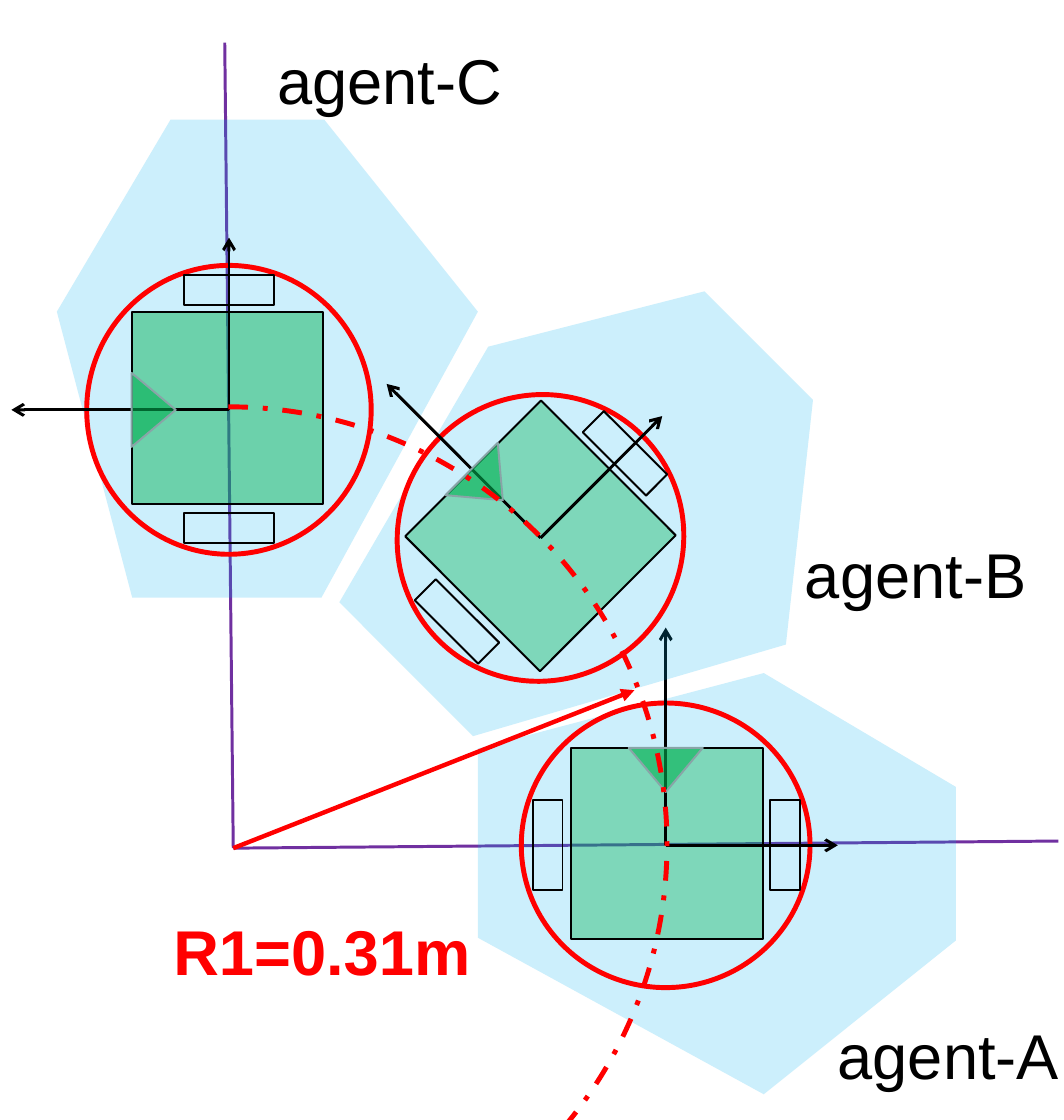
"""Draw three robot agents moving along a circular path of radius R1."""
import math
from dataclasses import dataclass

from lxml import etree
from pptx import Presentation
from pptx import util as u
from pptx.dml.color import RGBColor
from pptx.enum import dml, shapes, text
from pptx.oxml.ns import qn
from pptx.shapes.autoshape import Shape
from pptx.shapes.shapetree import SlideShapes

Point = tuple[float, float]
BLACK, RED, PURPLE = "000000", "FF0000", "7030A0"
SKY, GREEN, GRAY = "00B0F0", "00B050", "89A4A7"
CORNER: Point = (1.64, 5.96)
ZONE_CENTER: Point = (0.36, 0.27)
ZONE: list[Point] = [(-1.68, -0.95), (-1.68, 0.38), (0.33, 1.48),
                     (1.68, 0.4), (1.68, -0.68), (0.33, -1.48)]


@dataclass(frozen=True)
class Agent:
    center: Point
    rotation: int
    body_opacity: int = 38

    def locate(self, offset: Point) -> Point:
        """Turn an offset in the agent's frame into a slide position."""
        angle = math.radians(self.rotation)
        x, y = offset
        return (self.center[0] + x * math.cos(angle) - y * math.sin(angle),
                self.center[1] + x * math.sin(angle) + y * math.cos(angle))


@dataclass(frozen=True)
class Part:
    kind: shapes.MSO_SHAPE
    offset: Point
    size: Point
    line: str = BLACK
    width: float = 1
    fill: str | None = None
    opacity: int | None = None
    turn: int = 0


@dataclass(frozen=True)
class Label:
    content: str
    left: float
    top: float
    width: float
    color: str = BLACK
    bold: bool = False


AGENTS = [Agent((4.68, 5.94), 0), Agent((1.61, 2.88), 270, 47), Agent((3.8, 3.78), 315)]
RING = Part(shapes.MSO_SHAPE.OVAL, (0, 0), (2.03, 2), RED, 2.5)
BODY = Part(shapes.MSO_SHAPE.RECTANGLE, (0.01, -0.01), (1.35, 1.34), fill=GREEN)
NOSE = Part(shapes.MSO_SHAPE.ISOSCELES_TRIANGLE, (0, -0.53), (0.52, 0.31), GRAY,
            fill=GREEN, opacity=59, turn=180)
WHEELS = [Part(shapes.MSO_SHAPE.RECTANGLE, (x, 0), (0.21, 0.63)) for x in (0.84, -0.83)]
ARROW_TIPS: list[Point] = [(0, -1.53), (1.21, 0)]
RADIUS_LABEL = Label("R1=0.31m", 1.12, 6.36, 2.31, RED, True)
AGENT_LABELS = [Label("agent-A", 5.79, 7.09, 1.85), Label("agent-C", 1.85, 0.24, 1.99),
                Label("agent-B", 5.56, 3.71, 1.82)]


def rgb(color: str) -> RGBColor:
    """Convert a hex string to a colour."""
    return RGBColor.from_string(color)


def style(shape: Shape, fill: str | None, opacity: int | None,
          line: str | None, width: float = 1) -> None:
    """Set the fill, its opacity in percent, and the outline."""
    shape.shadow.inherit = False
    if fill:
        shape.fill.solid()
        shape.fill.fore_color.rgb = rgb(fill)
        color = shape._element.spPr.find(qn("a:solidFill"))[0]
        etree.SubElement(color, qn("a:alpha"), val=str(opacity * 1000))
    else:
        shape.fill.background()
    if line:
        shape.line.color.rgb = rgb(line)
        shape.line.width = u.Pt(width)
    else:
        shape.line.fill.background()


def add_line(tree: SlideShapes, start: Point, end: Point, color: str,
             width: float = 1.5, head: str | None = None) -> None:
    """Draw a straight line, with an arrowhead at its end if one is named."""
    connector = tree.add_connector(shapes.MSO_CONNECTOR.STRAIGHT,
                                   *map(u.Inches, (*start, *end)))
    connector.line.color.rgb = rgb(color)
    connector.line.width = u.Pt(width)
    properties = connector._element.spPr
    if head:
        etree.SubElement(properties.find(qn("a:ln")), qn("a:tailEnd"), type=head)
    etree.SubElement(properties, qn("a:effectLst"))


def add_zone(tree: SlideShapes, agent: Agent) -> None:
    """Draw the hexagonal zone around an agent."""
    x, y = agent.locate(ZONE_CENTER)
    first, *rest = [(u.Inches(x + dx), u.Inches(y + dy)) for dx, dy in ZONE]
    builder = tree.build_freeform(*first)
    builder.add_line_segments(rest, close=True)
    zone = builder.convert_to_shape()
    zone.rotation = agent.rotation
    style(zone, SKY, 20, None)


def add_part(tree: SlideShapes, agent: Agent, part: Part) -> None:
    """Draw one part turned with its agent."""
    x, y = agent.locate(part.offset)
    width, height = part.size
    shape = tree.add_shape(part.kind, u.Inches(x - width / 2), u.Inches(y - height / 2),
                           u.Inches(width), u.Inches(height))
    shape.rotation = (agent.rotation + part.turn) % 360
    style(shape, part.fill, part.opacity or agent.body_opacity, part.line, part.width)


def add_agent(tree: SlideShapes, agent: Agent) -> None:
    """Draw an agent with its zone, parts and axes."""
    add_zone(tree, agent)
    for part in (RING, BODY):
        add_part(tree, agent, part)
    for tip in ARROW_TIPS:
        add_line(tree, agent.center, agent.locate(tip), BLACK, head="arrow")
    for part in (NOSE, *WHEELS):
        add_part(tree, agent, part)


def add_path(tree: SlideShapes) -> None:
    """Draw the dashed circular path."""
    arc = tree.add_shape(shapes.MSO_SHAPE.ARC, u.Inches(-1.48), u.Inches(2.86),
                         u.Inches(6.17), u.Inches(6.16))
    arc.rotation = 340
    for index, degrees in enumerate((290, 83.7)):
        arc.adjustments[index] = degrees * 0.6
    style(arc, None, None, RED, 2.5)
    arc.line.dash_style = dml.MSO_LINE.DASH_DOT


def add_label(tree: SlideShapes, label: Label) -> None:
    """Write one label."""
    box = tree.add_textbox(u.Inches(label.left), u.Inches(label.top),
                           u.Inches(label.width), u.Inches(0.64))
    frame = box.text_frame
    frame.word_wrap = True
    frame.auto_size = text.MSO_AUTO_SIZE.SHAPE_TO_FIT_TEXT
    frame.text = label.content
    font = frame.paragraphs[0].runs[0].font
    font.name, font.size, font.bold = "Arial", u.Pt(32), label.bold
    font.color.rgb = rgb(label.color)


def main() -> None:
    """Build and save the slide."""
    presentation = Presentation()
    presentation.slide_width = u.Inches(7.48)
    presentation.slide_height = u.Inches(7.87)
    tree = presentation.slides.add_slide(presentation.slide_layouts[6]).shapes
    for end in ((7.44, 5.91), (1.58, 0.3)):
        add_line(tree, CORNER, end, PURPLE)
    for agent in AGENTS:
        add_agent(tree, agent)
    add_line(tree, CORNER, (4.46, 4.85), RED, 2.25, "triangle")
    add_label(tree, RADIUS_LABEL)
    add_path(tree)
    for label in AGENT_LABELS:
        add_label(tree, label)
    presentation.save("out.pptx")


if __name__ == "__main__":
    main()
